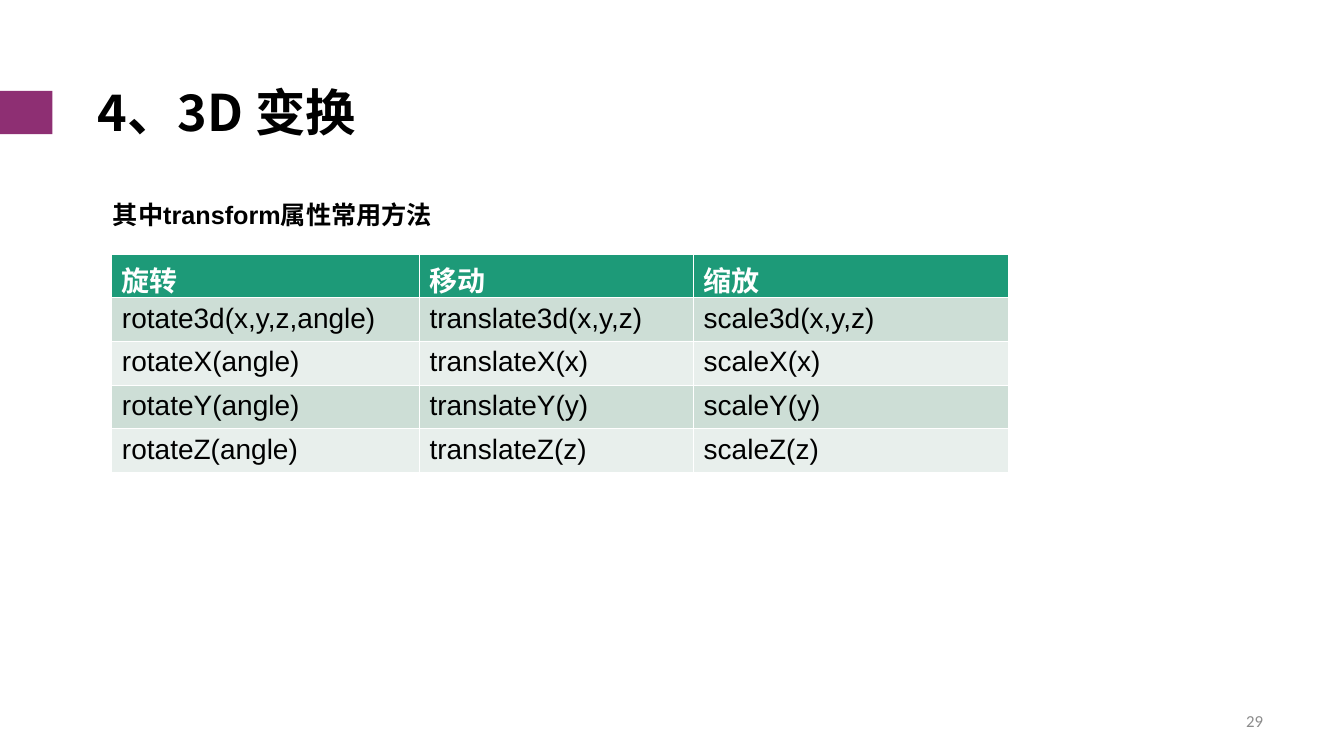
from dataclasses import dataclass

import pptx
import pptx.dml.color
import pptx.enum.shapes
import pptx.enum.text
import pptx.oxml
import pptx.oxml.ns
import pptx.util
from pptx.util import Cm


@dataclass(frozen=True)
class Theme:
    black: str = "000000"
    white: str = "FFFFFF"
    grey: str = "8C8C8C"
    accent: str = "8E2F73"
    header: str = "1D9A78"
    bands: tuple = ("CDDED6", "E8EFEC")
    title_size: int = 36
    lead_size: int = 18
    table_size: int = 20
    number_size: int = 12
    text_font: str = "Arial"
    number_font: str = "Calibri"
    chinese_font: str = "Noto Sans CJK SC"


THEME = Theme()

METHODS = (
    ("旋转", "移动", "缩放"),
    ("rotate3d(x,y,z,angle)", "translate3d(x,y,z)", "scale3d(x,y,z)"),
    ("rotateX(angle)", "translateX(x)", "scaleX(x)"),
    ("rotateY(angle)", "translateY(y)", "scaleY(y)"),
    ("rotateZ(angle)", "translateZ(z)", "scaleZ(z)"),
)
COLUMN_WIDTHS = (7.75, 6.91, 7.95)
ROW_HEIGHT = 1.1


def rgb(color):
    return pptx.dml.color.RGBColor.from_string(color)


def place(shape, left, top, width, height):
    shape.left, shape.top = Cm(left), Cm(top)
    shape.width, shape.height = Cm(width), Cm(height)


def style_paragraph(paragraph, font_name, size, color, bold=False):
    font = paragraph.font
    font.name = font_name
    font.size = pptx.util.Pt(size)
    font.bold = bold
    font.color.rgb = rgb(color)
    properties = paragraph._p.pPr.find(pptx.oxml.ns.qn("a:defRPr"))
    east_asian = pptx.oxml.parse_xml(
        f'<a:ea {pptx.oxml.ns.nsdecls("a")} typeface="{THEME.chinese_font}"/>'
    )
    properties.find(pptx.oxml.ns.qn("a:latin")).addnext(east_asian)


def remove_bullet(paragraph):
    properties = paragraph._p.get_or_add_pPr()
    properties.set("marL", "0")
    properties.set("indent", "0")
    properties.append(
        pptx.oxml.parse_xml(f'<a:buNone {pptx.oxml.ns.nsdecls("a")}/>')
    )


def fill_title(slide, text):
    title = slide.shapes.title
    place(title, 2.21, 1.32, 30.3, 3.15)
    title.text_frame.text = text
    title.text_frame.vertical_anchor = pptx.enum.text.MSO_ANCHOR.MIDDLE
    title.text_frame.auto_size = pptx.enum.text.MSO_AUTO_SIZE.NONE
    paragraph = title.text_frame.paragraphs[0]
    paragraph.alignment = pptx.enum.text.PP_ALIGN.LEFT
    paragraph.line_spacing = 0.9
    style_paragraph(
        paragraph, THEME.chinese_font, THEME.title_size, THEME.black, True
    )


def fill_lead(slide, text):
    body = slide.placeholders[1]
    place(body, 2.59, 4.52, 27.36, 1.3)
    body.text_frame.text = text
    body.text_frame.auto_size = pptx.enum.text.MSO_AUTO_SIZE.SHAPE_TO_FIT_TEXT
    paragraph = body.text_frame.paragraphs[0]
    paragraph.line_spacing = 1.5
    paragraph.space_before = pptx.util.Pt(0)
    remove_bullet(paragraph)
    style_paragraph(paragraph, THEME.text_font, THEME.lead_size, THEME.black, True)


def fill_cell(cell, text, is_header, fill):
    cell.fill.solid()
    cell.fill.fore_color.rgb = rgb(fill)
    if is_header:
        cell.margin_bottom = Cm(0)
    cell.text = text
    color = THEME.white if is_header else THEME.black
    style_paragraph(
        cell.text_frame.paragraphs[0],
        THEME.text_font, THEME.table_size, color, is_header,
    )


def add_methods_table(slide):
    table = slide.shapes.add_table(
        len(METHODS), len(COLUMN_WIDTHS), Cm(2.82), Cm(6.4),
        Cm(sum(COLUMN_WIDTHS)), Cm(ROW_HEIGHT * len(METHODS)),
    ).table
    for column, width in zip(table.columns, COLUMN_WIDTHS):
        column.width = Cm(width)
    for row_index, texts in enumerate(METHODS):
        is_header = row_index == 0
        fill = THEME.header if is_header else THEME.bands[(row_index - 1) % 2]
        for column_index, text in enumerate(texts):
            fill_cell(table.cell(row_index, column_index), text, is_header, fill)


def add_marker(slide):
    marker = slide.shapes.add_shape(
        pptx.enum.shapes.MSO_SHAPE.RECTANGLE, Cm(0), Cm(2.29), Cm(1.32), Cm(1.09)
    )
    marker.shadow.inherit = False
    marker.fill.solid()
    marker.fill.fore_color.rgb = rgb(THEME.accent)
    marker.line.fill.background()


def add_page_number(slide, text):
    box = slide.shapes.add_textbox(Cm(24.46), Cm(17.65), Cm(7.62), Cm(1.02))
    box.text_frame.word_wrap = True
    box.text_frame.vertical_anchor = pptx.enum.text.MSO_ANCHOR.MIDDLE
    box.text_frame.text = text
    paragraph = box.text_frame.paragraphs[0]
    paragraph.alignment = pptx.enum.text.PP_ALIGN.RIGHT
    paragraph.space_after = pptx.util.Pt(6)
    style_paragraph(paragraph, THEME.number_font, THEME.number_size, THEME.grey)


def main():
    presentation = pptx.Presentation()
    presentation.slide_width = Cm(33.87)
    presentation.slide_height = Cm(19.05)
    slide = presentation.slides.add_slide(presentation.slide_layouts[1])
    fill_title(slide, "4、3D 变换")
    fill_lead(slide, "其中transform属性常用方法")
    add_methods_table(slide)
    add_marker(slide)
    add_page_number(slide, "29")
    presentation.save("out.pptx")


if __name__ == "__main__":
    main()
